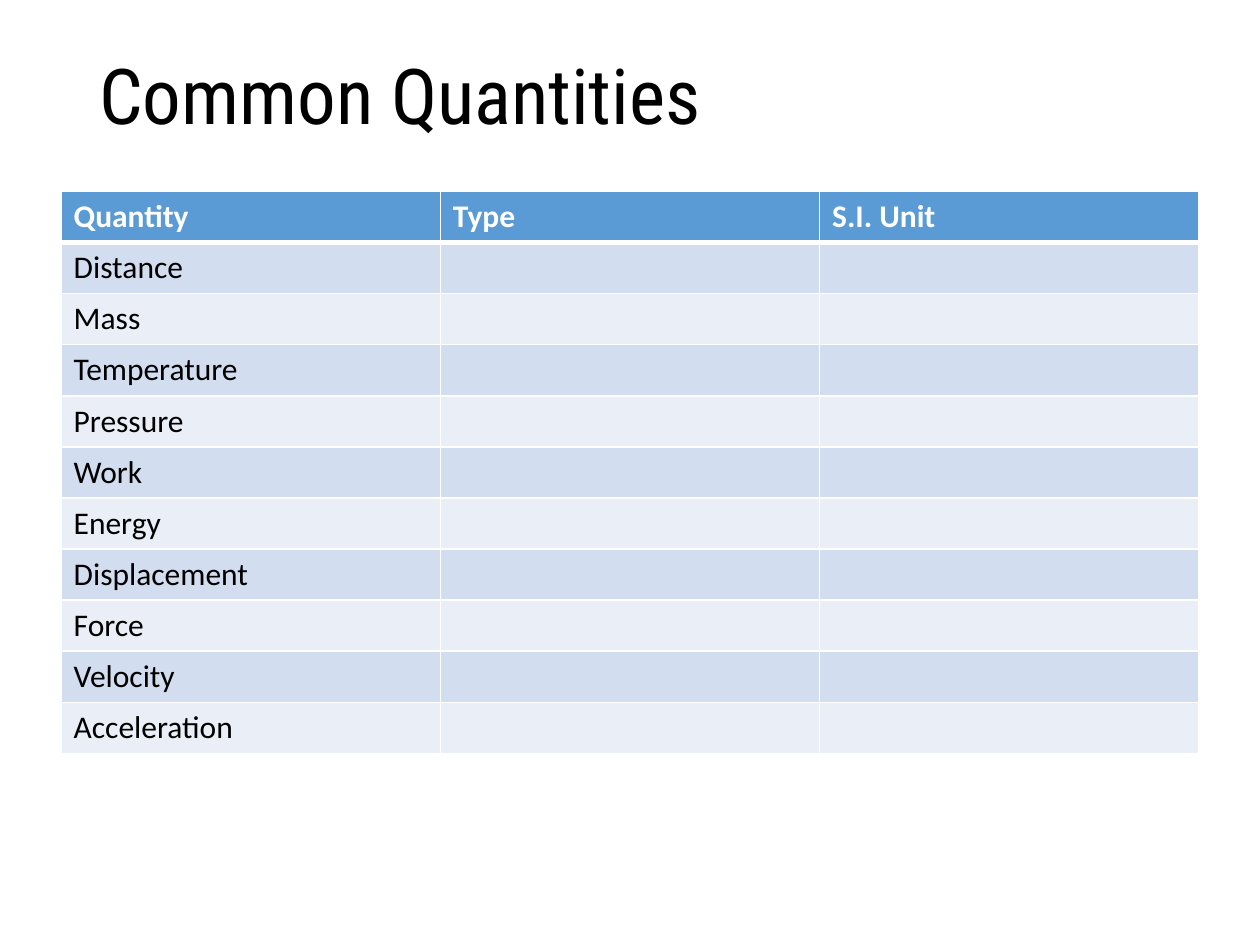
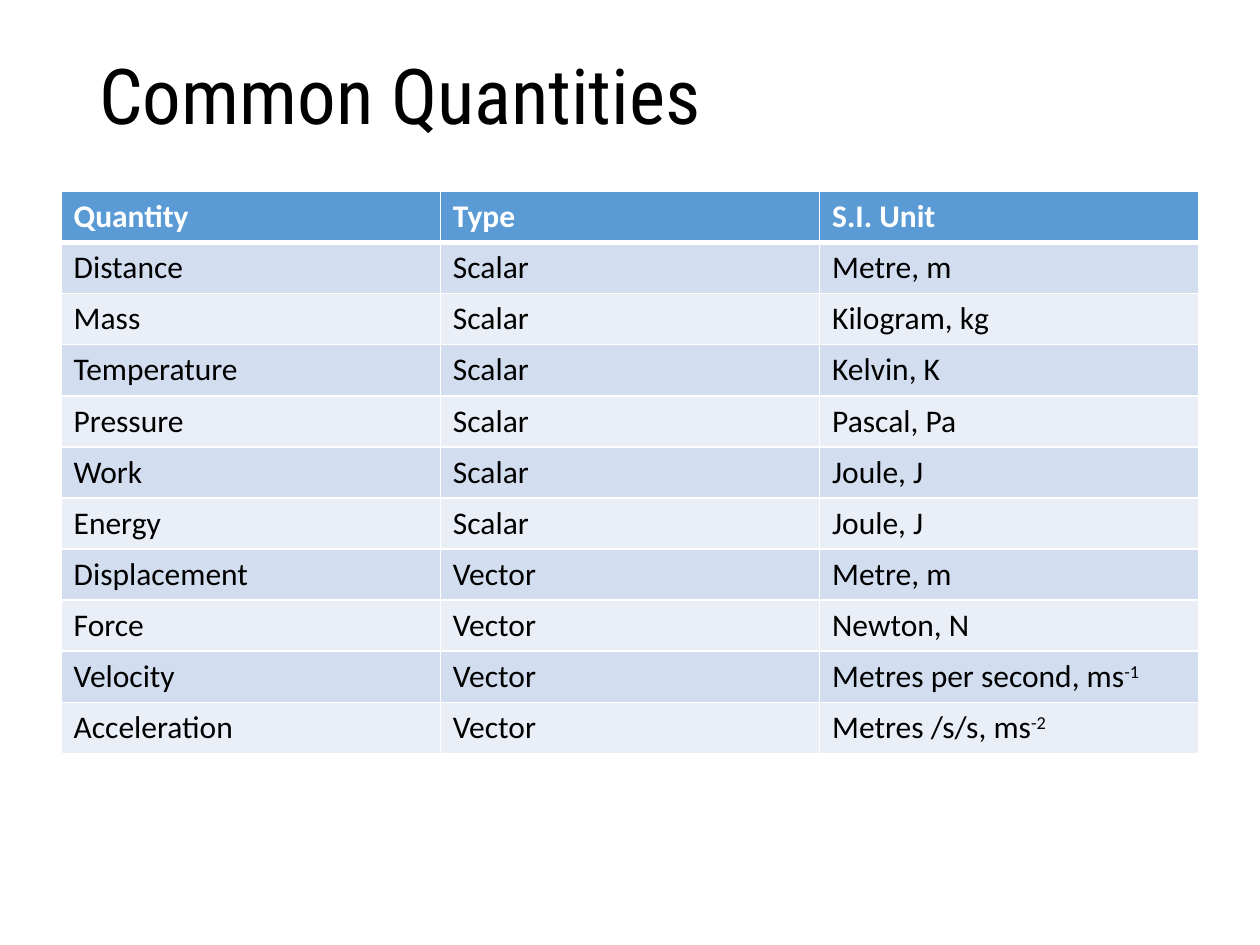
from lxml.etree import SubElement
from pptx import Presentation
from pptx.dml.color import RGBColor
from pptx.enum.text import MSO_ANCHOR, PP_ALIGN
from pptx.oxml.ns import qn
from pptx.util import Inches, Pt

HEADINGS = ("Quantity", "Type", "S.I. Unit")
# A caret starts a superscript.
QUANTITIES = (
    ("Distance", "Scalar", "Metre, m"),
    ("Mass", "Scalar", "Kilogram, kg"),
    ("Temperature", "Scalar", "Kelvin, K"),
    ("Pressure", "Scalar", "Pascal, Pa"),
    ("Work", "Scalar", "Joule, J"),
    ("Energy", "Scalar", "Joule, J"),
    ("Displacement", "Vector", "Metre, m"),
    ("Force", "Vector", "Newton, N"),
    ("Velocity", "Vector", "Metres per second, ms^-1"),
    ("Acceleration", "Vector", "Metres /s/s, ms^-2"),
)


def colour(hex_value):
    return RGBColor.from_string(hex_value)


class Deck:
    TITLE_FONT, BODY_FONT = "Roboto Condensed", "Calibri"
    TEXT, PAPER, HEADER = "000000", "FFFFFF", "5B9BD5"
    BANDS = ("D2DEEF", "EAEFF7")
    TITLE_LAYOUT = 5

    def __init__(self):
        self.presentation = Presentation()
        self.presentation.slide_width = Inches(10)
        self.presentation.slide_height = Inches(7.5)
        self.slide = None

    def area(self, left, top, width, height):
        """Turn percentages of the slide into lengths."""
        across = self.presentation.slide_width / 100
        down = self.presentation.slide_height / 100
        return (round(left * across), round(top * down),
                round(width * across), round(height * down))

    def add_slide(self, title):
        layout = self.presentation.slide_layouts[self.TITLE_LAYOUT]
        self.slide = self.presentation.slides.add_slide(layout)
        shape = self.slide.shapes.title
        shape.left, shape.top, shape.width, shape.height = self.area(6.88, 5.33, 86.25, 10.5)
        frame = shape.text_frame
        frame.text = title
        frame.vertical_anchor = MSO_ANCHOR.MIDDLE
        paragraph = frame.paragraphs[0]
        paragraph.alignment = PP_ALIGN.LEFT
        paragraph.line_spacing = 0.9
        self.style_run(paragraph.runs[0], self.TITLE_FONT, 44, self.TEXT)

    def style_run(self, run, font_name, size, text_colour, bold=False):
        run.font.name = font_name
        run.font.size = Pt(size)
        run.font.bold = bold
        run.font.color.rgb = colour(text_colour)

    def add_table(self, rows):
        area = self.area(4.85, 20.25, 90.3, 59.47)
        table = self.slide.shapes.add_table(len(rows), len(rows[0]), *area).table
        for row_number, row in enumerate(rows):
            for column_number, text in enumerate(row):
                self.fill_cell(table.cell(row_number, column_number), text, row_number)

    def fill_cell(self, cell, text, row_number):
        is_header = row_number == 0
        self.add_borders(cell, top=3 if row_number == 1 else 1, bottom=3 if is_header else 1)
        cell.fill.solid()
        cell.fill.fore_color.rgb = colour(
            self.HEADER if is_header else self.BANDS[(row_number - 1) % 2])
        paragraph = cell.text_frame.paragraphs[0]
        base, _, exponent = text.partition("^")
        paragraph.text = base
        if exponent:
            run = paragraph.add_run()
            run.text = exponent
            run.font._element.set("baseline", "30000")
        for run in paragraph.runs:
            self.style_run(run, self.BODY_FONT, 18,
                           self.PAPER if is_header else self.TEXT, is_header)

    def add_borders(self, cell, top, bottom):
        properties = cell._tc.get_or_add_tcPr()
        for tag, width in (("a:lnL", 1), ("a:lnR", 1), ("a:lnT", top), ("a:lnB", bottom)):
            line = SubElement(properties, qn(tag), w=str(Pt(width)))
            fill = SubElement(line, qn("a:solidFill"))
            SubElement(fill, qn("a:srgbClr"), val=self.PAPER)


def main():
    deck = Deck()
    questions = [(name, "", "") for name, _, _ in QUANTITIES]
    for body in (questions, QUANTITIES):
        deck.add_slide("Common Quantities")
        deck.add_table([HEADINGS, *body])
    deck.presentation.save("out.pptx")


if __name__ == "__main__":
    main()
